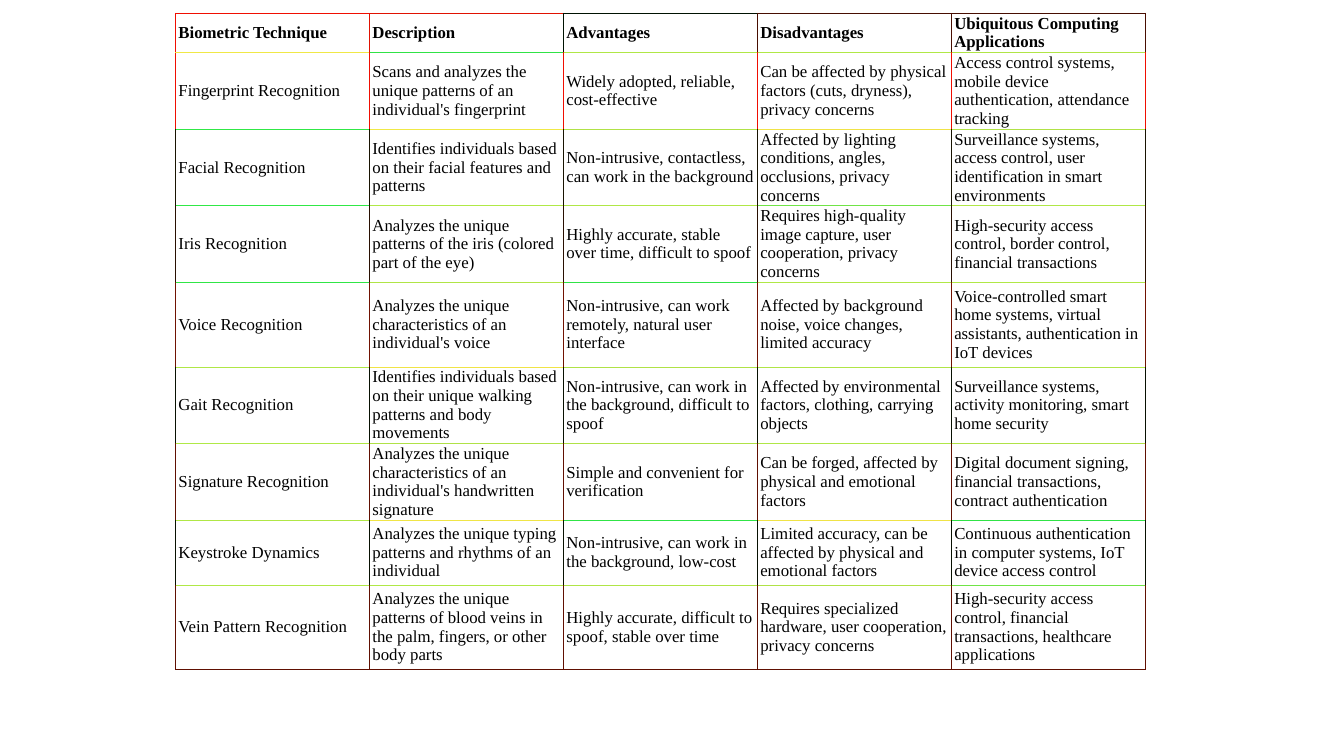
from pptx import Presentation, util as u
from pptx.dml.color import RGBColor
from pptx.enum import text
from pptx.oxml.ns import qn
from lxml import etree

FONT = {"name": "Times New Roman", "size": u.Pt(12)}
CELL = {"vertical_anchor": text.MSO_ANCHOR.MIDDLE,
        "margin_left": u.Inches(0.03), "margin_right": u.Inches(0.03),
        "margin_top": u.Inches(0.01), "margin_bottom": u.Inches(0.01)}
BOX = (1.74, 0.13, 9.62, 6.25)
ROW_HEIGHTS = [0.33, 0.74, 0.74, 0.74, 0.84, 0.64, 0.74, 0.64, 0.84]
TECHNIQUES = [
    ["Biometric Technique", "Description", "Advantages", "Disadvantages",
     "Ubiquitous Computing Applications"],
    ["Fingerprint Recognition",
     "Scans and analyzes the unique patterns of an individual's fingerprint",
     "Widely adopted, reliable, cost-effective",
     "Can be affected by physical factors (cuts, dryness), privacy concerns",
     "Access control systems, mobile device authentication, attendance tracking"],
    ["Facial Recognition",
     "Identifies individuals based on their facial features and patterns",
     "Non-intrusive, contactless, can work in the background",
     "Affected by lighting conditions, angles, occlusions, privacy concerns",
     "Surveillance systems, access control, user identification in smart environments"],
    ["Iris Recognition",
     "Analyzes the unique patterns of the iris (colored part of the eye)",
     "Highly accurate, stable over time, difficult to spoof",
     "Requires high-quality image capture, user cooperation, privacy concerns",
     "High-security access control, border control, financial transactions"],
    ["Voice Recognition",
     "Analyzes the unique characteristics of an individual's voice",
     "Non-intrusive, can work remotely, natural user interface",
     "Affected by background noise, voice changes, limited accuracy",
     "Voice-controlled smart home systems, virtual assistants, authentication in IoT devices"],
    ["Gait Recognition",
     "Identifies individuals based on their unique walking patterns and body movements",
     "Non-intrusive, can work in the background, difficult to spoof",
     "Affected by environmental factors, clothing, carrying objects",
     "Surveillance systems, activity monitoring, smart home security"],
    ["Signature Recognition",
     "Analyzes the unique characteristics of an individual's handwritten signature",
     "Simple and convenient for verification",
     "Can be forged, affected by physical and emotional factors",
     "Digital document signing, financial transactions, contract authentication"],
    ["Keystroke Dynamics",
     "Analyzes the unique typing patterns and rhythms of an individual",
     "Non-intrusive, can work in the background, low-cost",
     "Limited accuracy, can be affected by physical and emotional factors",
     "Continuous authentication in computer systems, IoT device access control"],
    ["Vein Pattern Recognition",
     "Analyzes the unique patterns of blood veins in the palm, fingers, or other body parts",
     "Highly accurate, difficult to spoof, stable over time",
     "Requires specialized hardware, user cooperation, privacy concerns",
     "High-security access control, financial transactions, healthcare applications"],
]
ROW_RULES = [line.split() for line in (
    "F00E01 E01201 001201 480E01 480E01",
    "F0E846 30E346 B0E746 B0E846 B0E546",
    "30E846 F0E946 B0E246 F0E346 B0E246",
    "30E846 B0E946 B0E746 70E446 B0E746",
    "30E646 B0E546 30E346 B0E846 B0E846",
    "B0E746 F0E446 B0E246 B0E546 B0E546",
    "B0E946 B0E246 B0E246 B0E746 B0E246",
    "B0E746 F0E546 30E446 F0E346 30E346",
    "B0E846 B0E846 B0E546 B0E246 70E446",
    "600F01 600F01 600F01 600F01 600F01")]
HEADER_SIDES = ["F00E01", "E01201", "001201", "480E01", "480E01", "480E01"]
BODY_SIDES = ["F00E01", "181301", "280F01", "701201", "081001", "600F01", "081001", "600F01"]
SIDE_RULES = [HEADER_SIDES] + [[color] * 6 for color in BODY_SIDES]


def rgb(color):
    """Turn a hex string into a colour."""
    return RGBColor.from_string(color)


def apply(target, values):
    """Set each named attribute of the target."""
    for name, value in values.items():
        setattr(target, name, value)


def set_borders(cell, colors):
    """Draw thin solid borders, given as edge tag to colour."""
    props = cell._tc.get_or_add_tcPr()
    for place, (edge, color) in enumerate(colors.items()):
        ln = etree.Element(qn("a:" + edge), w=str(u.Pt(0.38)))
        fill = etree.SubElement(ln, qn("a:solidFill"))
        etree.SubElement(fill, qn("a:srgbClr"), val=color)
        props.insert(place, ln)


def fill_cell(cell, words, bold):
    """Write and format the words of one cell."""
    apply(cell, CELL)
    cell.fill.background()
    p = cell.text_frame.paragraphs[0]
    r = p.add_run()
    r.text = words
    apply(r.font, {**FONT, "bold": bold})
    r.font.color.rgb = rgb("000000")


def add_technique_table(slide, left, top, width, height):
    """Place the comparison of biometric techniques in the given box."""
    rows, cols = len(TECHNIQUES), len(TECHNIQUES[0])
    table = slide.shapes.add_table(
        rows, cols, *map(u.Inches, (left, top, width, height))).table
    apply(table, {"first_row": False, "horz_banding": False})
    for column in table.columns:
        column.width = u.Inches(width / cols)
    for i, words in enumerate(TECHNIQUES):
        table.rows[i].height = u.Inches(ROW_HEIGHTS[i])
        for j, entry in enumerate(words):
            cell = table.cell(i, j)
            fill_cell(cell, entry, i == 0)
            set_borders(cell, {"lnL": SIDE_RULES[i][j], "lnR": SIDE_RULES[i][j + 1],
                               "lnT": ROW_RULES[i][j], "lnB": ROW_RULES[i + 1][j]})


def main():
    """Build and save the slide."""
    prs = Presentation()
    apply(prs, {"slide_width": u.Inches(13.33), "slide_height": u.Inches(7.5)})
    slide = prs.slides.add_slide(prs.slide_layouts[6])
    add_technique_table(slide, *BOX)
    prs.save("out.pptx")


if __name__ == "__main__":
    main()
